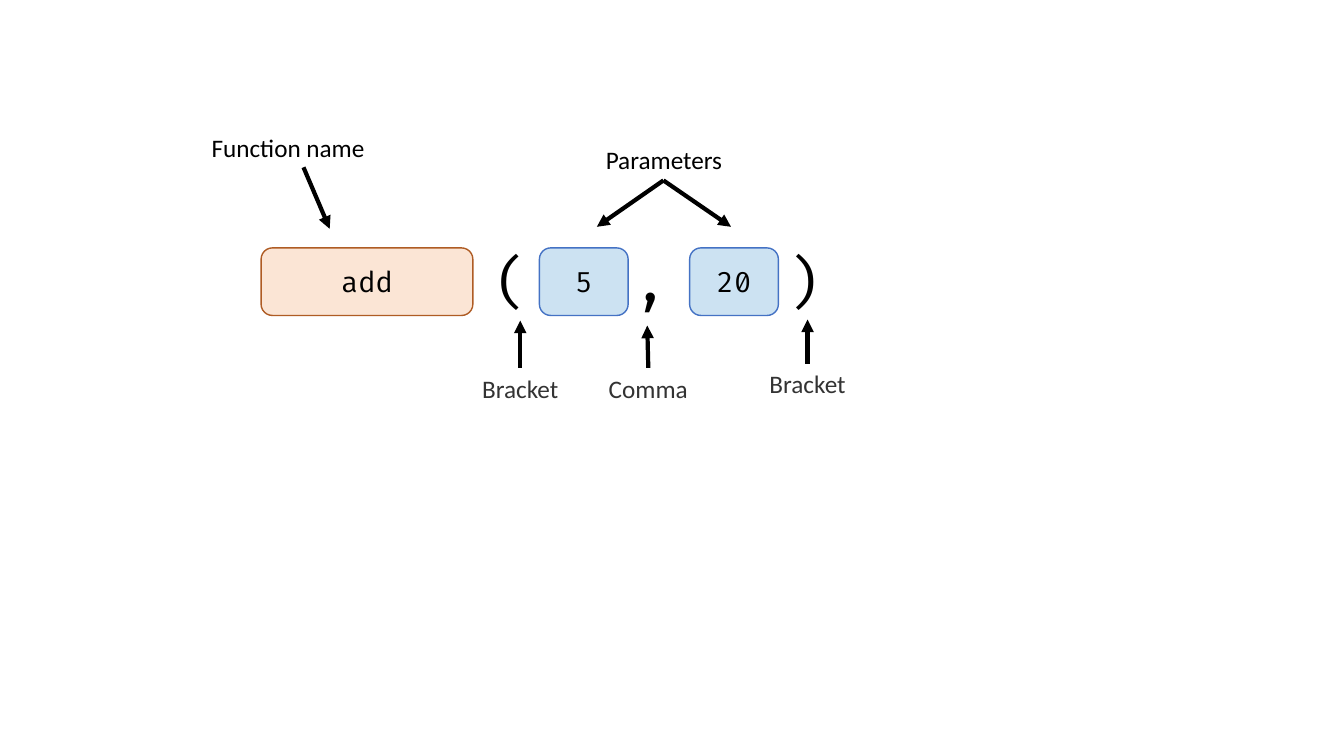
from lxml import etree
from pptx import Presentation, util as u
from pptx.dml.color import RGBColor
from pptx.enum import shapes, text
from pptx.oxml.ns import qn

# The grid has square cells, one inch wide and high.
CELL = u.Inches(1)
COLUMNS, ROWS = 13.33, 7.5

BLACK = RGBColor(0x00, 0x00, 0x00)
GREY = RGBColor(0x33, 0x33, 0x33)
ORANGE = RGBColor(0xED, 0x7D, 0x31)
BROWN = RGBColor(0xAF, 0x5C, 0x24)
BLUE = RGBColor(0x00, 0x70, 0xC0)
MID_BLUE = RGBColor(0x44, 0x72, 0xC4)

CODE = {"name": "Fira Code", "size": u.Pt(20)}
SYMBOL = {"name": "Fira Code", "size": u.Pt(40)}
LABEL = {"name": "Calibri", "size": u.Pt(18)}

TOKEN_TOP, TOKEN_HEIGHT = 2.46, 0.67
PARAMETER_WIDTH = 0.88
SYMBOL_TOP = 2.4
LABEL_HEIGHT = 0.4


def grid(*cells):
    """Turn grid columns and rows into slide lengths."""
    return [round(cell * CELL) for cell in cells]


def write(frame, words, font, color, align):
    """Write one formatted paragraph into a text frame."""
    line = frame.paragraphs[0]
    line.alignment = align
    run = line.add_run()
    run.text = words
    for key, value in font.items():
        setattr(run.font, key, value)
    run.font.color.rgb = color


def add_token(slide, words, left, width, fill, outline):
    """Add a tinted rounded box that holds a piece of code."""
    token = slide.shapes.add_shape(
        shapes.MSO_SHAPE.ROUNDED_RECTANGLE,
        *grid(left, TOKEN_TOP, width, TOKEN_HEIGHT))
    token.shadow.inherit = False
    token.fill.solid()
    token.fill.fore_color.rgb = fill
    tint = token._element.spPr.find(qn("a:solidFill")).find(qn("a:srgbClr"))
    etree.SubElement(tint, qn("a:alpha"), val="20000")
    token.line.color.rgb = outline
    token.line.width = u.Pt(1)
    token.text_frame.vertical_anchor = text.MSO_ANCHOR.MIDDLE
    write(token.text_frame, words, CODE, BLACK, text.PP_ALIGN.CENTER)


def add_words(slide, words, box, font, color=BLACK,
              align=text.PP_ALIGN.CENTER, wrap=True):
    """Add a text box for a label or a punctuation mark."""
    frame = slide.shapes.add_textbox(*grid(*box)).text_frame
    frame.word_wrap = wrap
    frame.auto_size = text.MSO_AUTO_SIZE.SHAPE_TO_FIT_TEXT
    write(frame, words, font, color, align)


def add_arrow(slide, start, end):
    """Add a black arrow from a label to the code it names."""
    arrow = slide.shapes.add_connector(
        shapes.MSO_CONNECTOR.STRAIGHT, *grid(*start, *end))
    arrow.line.color.rgb = BLACK
    arrow.line.width = u.Pt(3)
    etree.SubElement(arrow.get_or_add_ln(), qn("a:tailEnd"), type="triangle")
    etree.SubElement(arrow._element.spPr, qn("a:effectLst"))


def add_call(slide):
    """Lay out the function call as boxes and punctuation."""
    add_token(slide, "add", 2.59, 2.1, ORANGE, BROWN)
    for value, left in (("5", 5.35), ("20", 6.84)):
        add_token(slide, value, left, PARAMETER_WIDTH, BLUE, MID_BLUE)
    for mark, left in (("(", 4.81), (",", 6.18), (")", 7.7)):
        add_words(slide, mark, (left, SYMBOL_TOP, 0.69, 0.77), SYMBOL,
                  align=text.PP_ALIGN.LEFT)


def add_upper_labels(slide):
    """Name the function and its parameters above the call."""
    add_words(slide, "Function name", (2, 1.26, 2.02, LABEL_HEIGHT), LABEL,
              align=text.PP_ALIGN.LEFT)
    add_arrow(slide, (3.01, 1.66), (3.27, 2.27))
    add_words(slide, "Parameters", (5.64, 1.38, 1.89, LABEL_HEIGHT), LABEL)
    for target in (5.92, 7.25):
        add_arrow(slide, (6.58, 1.79), (target, 2.25))


def add_lower_labels(slide):
    """Name the punctuation below the call."""
    for words, middle, width, top, tip in (
            ("Bracket", 5.16, 0.96, 3.65, (5.16, 3.18)),
            ("Comma", 6.43, 1.84, 3.65, (6.42, 3.23)),
            ("Bracket", 8.01, 0.96, 3.61, (8.01, 3.17))):
        add_words(slide, words, (middle - width / 2, top, width, LABEL_HEIGHT),
                  LABEL, GREY, wrap=words == "Comma")
        add_arrow(slide, (middle, top), tip)


def main():
    """Build the slide and save it."""
    deck = Presentation()
    deck.slide_width, deck.slide_height = grid(COLUMNS, ROWS)
    slide = deck.slides.add_slide(deck.slide_layouts[6])
    add_call(slide)
    add_upper_labels(slide)
    add_lower_labels(slide)
    deck.save("out.pptx")


main()
